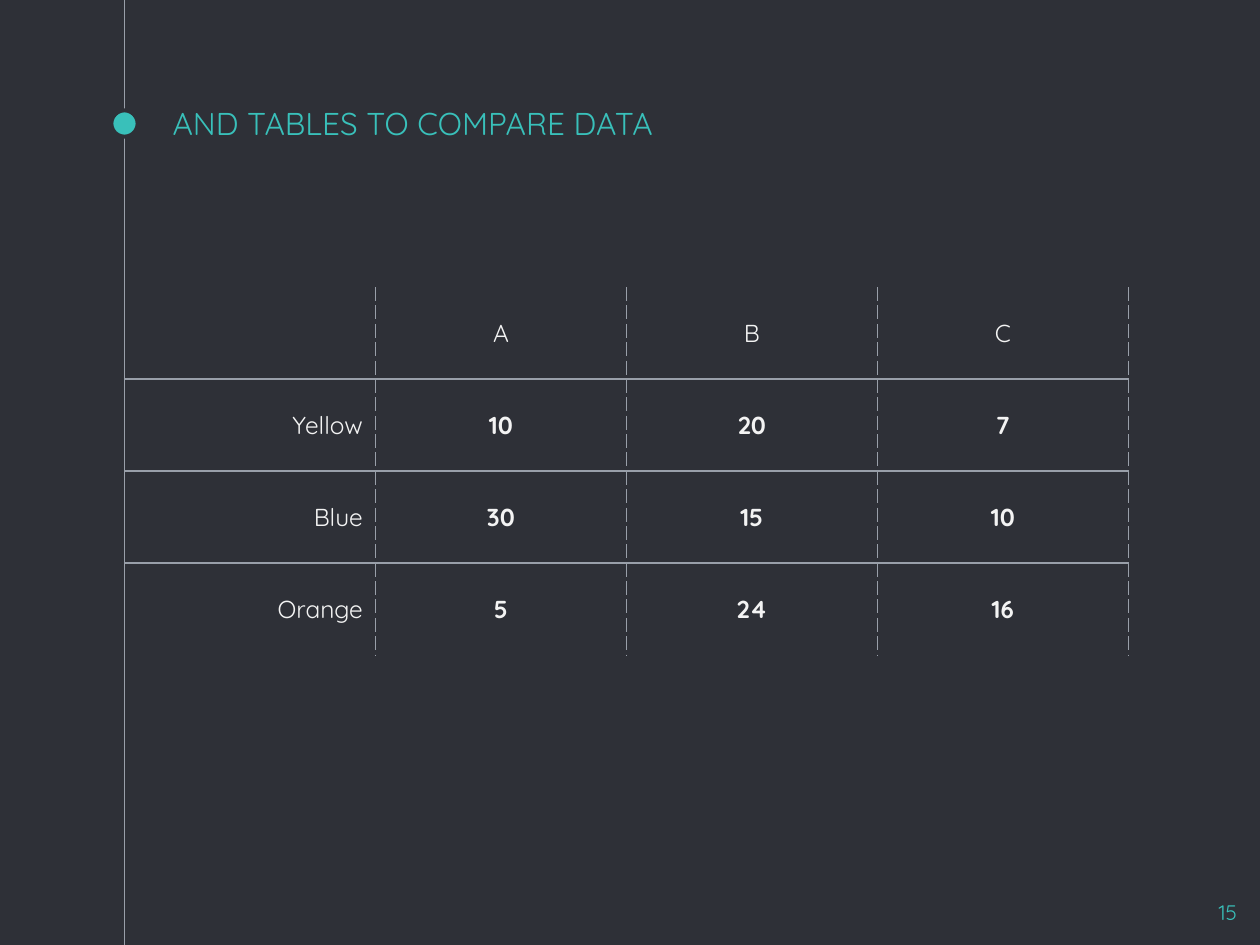
from dataclasses import dataclass

from lxml import etree
from pptx import Presentation
from pptx import util as u
from pptx.dml.color import RGBColor
from pptx.enum import shapes, text
from pptx.oxml import ns

Pt = u.Pt


@dataclass(frozen=True)
class Theme:
    font: str = "Quicksand"
    background: RGBColor = RGBColor(0x2E, 0x30, 0x37)
    accent: RGBColor = RGBColor(0x39, 0xC0, 0xBA)
    rule: RGBColor = RGBColor(0x99, 0x9F, 0xA9)
    body: RGBColor = RGBColor(0xF3, 0xF3, 0xF3)
    title_size: int = 18
    table_size: int = 14
    number_size: int = 12
    rule_width: float = 0.75
    inset: float = 7.2


THEME = Theme()
ALIGN = text.PP_ALIGN
ANCHOR = text.MSO_ANCHOR
SLIDE_WIDTH, SLIDE_HEIGHT = 720, 540
TIMELINE_X = 71.15
ROWS = [
    ["", "A", "B", "C"],
    ["Yellow", "10", "20", "7"],
    ["Blue", "30", "15", "10"],
    ["Orange", "5", "24", "16"],
]


def write_text(frame, content, size, color, align=ALIGN.LEFT, bold=False):
    paragraph = frame.paragraphs[0]
    paragraph.alignment = align
    font = paragraph.font
    if content:
        run = paragraph.add_run()
        run.text = content
        font = run.font
    font.name = THEME.font
    font.size = Pt(size)
    font.bold = bold
    font.color.rgb = color


def set_margins(target):
    """Give a text frame or a table cell the common inset."""
    for side in ("left", "top", "right", "bottom"):
        setattr(target, f"margin_{side}", Pt(THEME.inset))


def add_text(slide, content, box, anchor=ANCHOR.TOP, **text_format):
    frame = slide.shapes.add_textbox(*map(Pt, box)).text_frame
    frame.word_wrap = True
    frame.vertical_anchor = anchor
    set_margins(frame)
    write_text(frame, content, **text_format)


def add_timeline(slide):
    line = slide.shapes.add_connector(
        shapes.MSO_CONNECTOR.STRAIGHT,
        Pt(TIMELINE_X), Pt(0), Pt(TIMELINE_X), Pt(SLIDE_HEIGHT))
    line.line.color.rgb = THEME.rule
    line.line.width = Pt(THEME.rule_width)
    etree.SubElement(line.element.spPr, ns.qn("a:effectLst"))


def add_marker(slide, center_y, diameter):
    marker = slide.shapes.add_shape(
        shapes.MSO_SHAPE.OVAL,
        Pt(TIMELINE_X - diameter / 2), Pt(center_y - diameter / 2),
        Pt(diameter), Pt(diameter))
    marker.shadow.inherit = False
    marker.fill.solid()
    marker.fill.fore_color.rgb = THEME.accent
    marker.line.color.rgb = THEME.background
    marker.line.width = Pt(2.25)


def set_border(cell, side, dash):
    """Draw one cell edge; a dash of None leaves the edge empty."""
    properties = cell._tc.get_or_add_tcPr()
    border = etree.SubElement(
        properties, ns.qn(f"a:ln{side}"), w=str(int(Pt(THEME.rule_width))))
    if dash is None:
        etree.SubElement(border, ns.qn("a:noFill"))
        return
    fill = etree.SubElement(border, ns.qn("a:solidFill"))
    etree.SubElement(fill, ns.qn("a:srgbClr"), val=str(THEME.rule))
    etree.SubElement(border, ns.qn("a:prstDash"), val=dash)


def format_cell(cell, row, column, last_row):
    edges = {
        "L": "dash",
        "R": "dash",
        "T": "solid" if row > 0 else None,
        "B": "solid" if row < last_row else None,
    }
    for side, dash in edges.items():
        set_border(cell, side, dash)
    cell.fill.background()
    cell.vertical_anchor = ANCHOR.MIDDLE
    set_margins(cell)


def add_data_table(slide, rows, left, top, column_width, row_height):
    row_count, column_count = len(rows), len(rows[0])
    table = slide.shapes.add_table(
        row_count, column_count, Pt(left), Pt(top),
        Pt(column_width * column_count), Pt(row_height * row_count)).table
    table.first_row = table.horz_banding = False
    for column in table.columns:
        column.width = Pt(column_width)
    for row_index, values in enumerate(rows):
        table.rows[row_index].height = Pt(row_height)
        for column_index, value in enumerate(values):
            cell = table.cell(row_index, column_index)
            format_cell(cell, row_index, column_index, row_count - 1)
            write_text(
                cell.text_frame, value, THEME.table_size, THEME.body,
                align=ALIGN.CENTER if column_index else ALIGN.RIGHT,
                bold=row_index > 0 and column_index > 0)


def main():
    presentation = Presentation()
    presentation.slide_width = Pt(SLIDE_WIDTH)
    presentation.slide_height = Pt(SLIDE_HEIGHT)
    slide = presentation.slides.add_slide(presentation.slide_layouts[6])
    slide.background.fill.solid()
    slide.background.fill.fore_color.rgb = THEME.background

    add_timeline(slide)
    add_marker(slide, center_y=70.6, diameter=15)
    add_text(slide, "AND TABLES TO COMPARE DATA", (91.6, 52.5, 540, 36),
             anchor=ANCHOR.BOTTOM, size=THEME.title_size, color=THEME.accent)
    add_data_table(slide, ROWS, left=TIMELINE_X, top=164,
                   column_width=143.43, row_height=52.57)
    add_text(slide, "15", (671, 507, 43, 33), size=THEME.number_size,
             color=THEME.accent, align=ALIGN.RIGHT)

    presentation.save("out.pptx")


if __name__ == "__main__":
    main()
